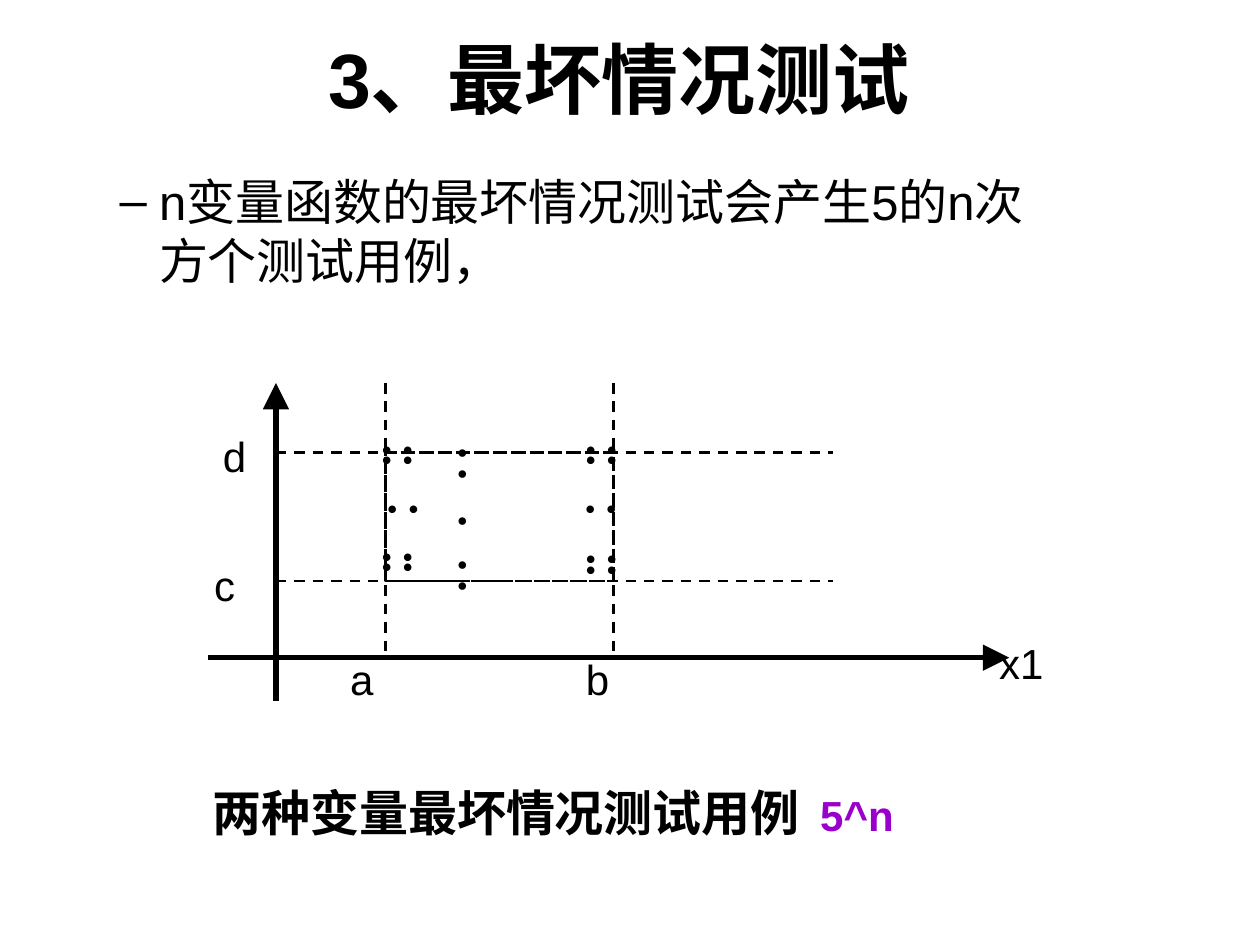
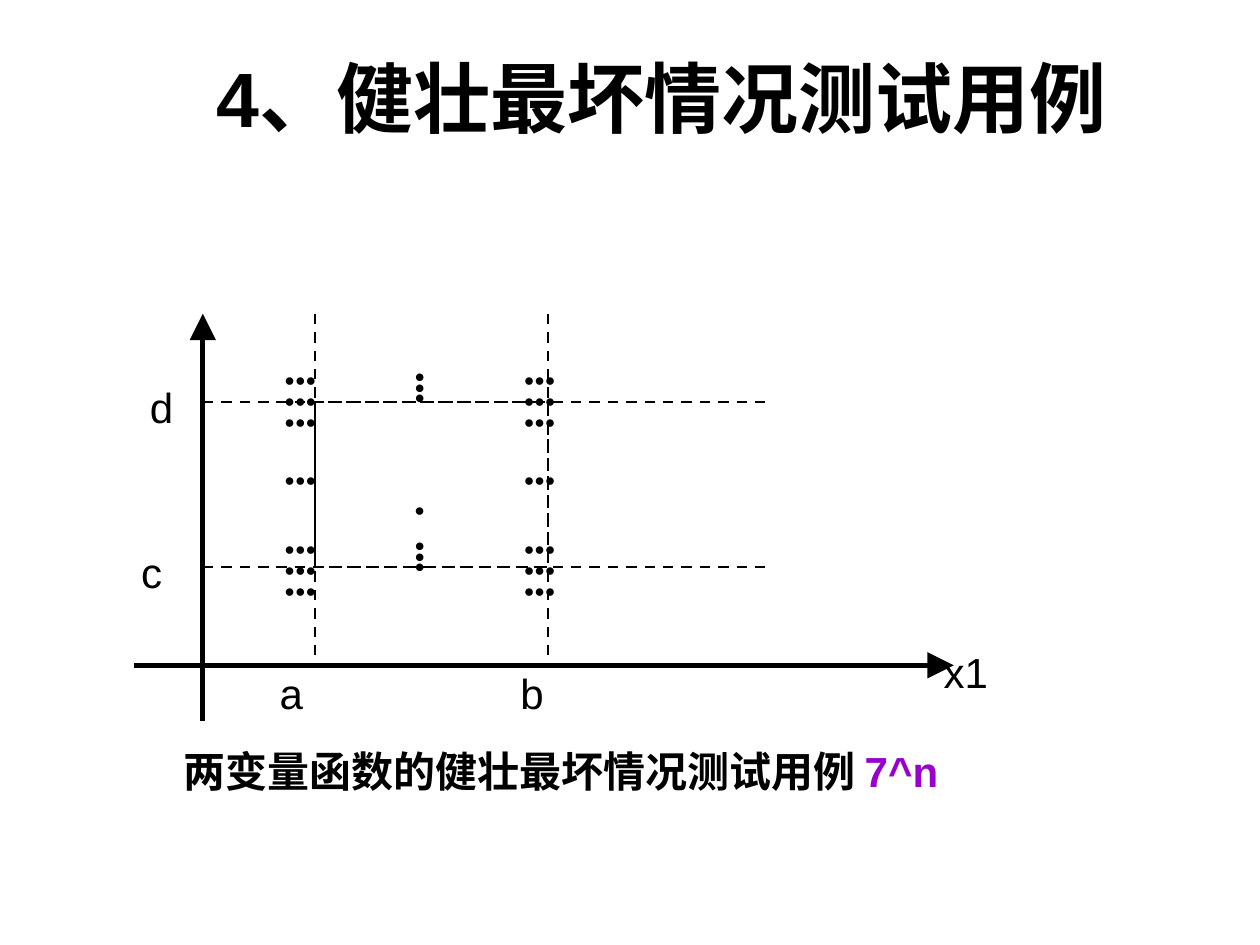
from itertools import product
from lxml.etree import SubElement
from pptx import Presentation
from pptx.dml.color import RGBColor
from pptx.enum.dml import MSO_LINE_DASH_STYLE as Dash
from pptx.enum.shapes import MSO_CONNECTOR as Connector, MSO_SHAPE as Shape
from pptx.enum.text import MSO_ANCHOR as Anchor, MSO_AUTO_SIZE as AutoSize, PP_ALIGN as Align
from pptx.oxml.ns import qn
from pptx.util import Emu, Pt

PX = 9144
BLACK = RGBColor(0x00, 0x00, 0x00)
PURPLE = RGBColor(0x99, 0x00, 0xCC)
FONT = "Arial"
TITLE_SIZE, BODY_SIZE, LABEL_SIZE, DOT_SIZE = 44, 28, 24, 10
LABEL_WIDTH = 50
DOT_WIDTHS = {1: 26, 2: 55, 3: 63}
DOT_HEIGHTS = {1: 27, 2: 44, 3: 60}
UPRIGHT, TURNED = 0, 90

SLIDES = [
    {
        "title": "3、最坏情况测试",
        "title_frame": (216, 21, 551, 81),
        "body": "n变量函数的最坏情况测试会产生5的n次方个测试用例，",
        "body_frame": (35, 131, 811, 260),
        "plot": {
            "axis_x": 219, "axis_top": 304, "axis_foot": 556,
            "axis_y": 522, "axis_left": 165, "axis_right": 801,
            "a": 306, "b": 487, "d": 359, "c": 461,
            "guide_right": 661, "label_height": 34, "label_lift": 14,
        },
        "dots": [
            (1, 2, 353, 434, UPRIGHT), (1, 2, 353, 345, UPRIGHT),
            (1, 1, 353, 399, UPRIGHT),
            (1, 2, 465, 382, TURNED), (1, 2, 308, 382, TURNED),
            (2, 2, 289, 349, TURNED), (2, 2, 289, 434, TURNED),
            (2, 2, 451, 349, TURNED), (2, 2, 451, 436, TURNED),
        ],
        "caption": [("两种变量最坏情况测试用例 ", 28, BLACK), (" 5^n", 24, PURPLE)],
        "caption_frame": (112, 610, 654, 68),
    },
    {
        "title": "4、健壮最坏情况测试用例",
        "title_frame": (51, 36, 949, 81),
        "plot": {
            "axis_x": 161, "axis_top": 249, "axis_foot": 572,
            "axis_y": 528, "axis_left": 106, "axis_right": 757,
            "a": 250, "b": 435, "d": 319, "c": 450,
            "guide_right": 613, "label_height": 44, "label_lift": 18,
        },
        "dots": [
            (3, rows, left, top, UPRIGHT)
            for left, (rows, top) in product((216, 406), ((3, 288), (1, 367), (3, 422)))
        ] + [
            (1, 1, 319, 391, UPRIGHT),
            (3, 1, 303, 304, TURNED), (3, 1, 303, 438, TURNED),
        ],
        "caption": [("两变量函数的健壮最坏情况测试用例 ", 24, BLACK), ("7^n", 24, PURPLE)],
        "caption_frame": (114, 580, 662, 63),
    },
]


def scaled(*lengths):
    return [Emu(length * PX) for length in lengths]


def style_span(span, size, color=BLACK, bold=False):
    span.font.name = FONT
    span.font.size = Pt(size)
    span.font.bold = bold
    span.font.color.rgb = color


def style_frame(text_frame, size, bold=False):
    for para in text_frame.paragraphs:
        for span in para.runs:
            style_span(span, size, bold=bold)


def place(shape, frame):
    shape.left, shape.top, shape.width, shape.height = scaled(*frame)


def add_title(page, text, frame):
    title = page.shapes.title
    place(title, frame)
    text_frame = title.text_frame
    text_frame.text = text
    text_frame.auto_size = AutoSize.NONE
    text_frame.vertical_anchor = Anchor.MIDDLE
    text_frame.paragraphs[0].alignment = Align.CENTER
    style_frame(text_frame, TITLE_SIZE, bold=True)


def add_body(page, text, frame):
    body = page.placeholders[1]
    place(body, frame)
    text_frame = body.text_frame
    text_frame.text = text
    text_frame.auto_size = AutoSize.NONE
    text_frame.paragraphs[0].level = 1
    text_frame.paragraphs[0].space_before = Pt(7)
    style_frame(text_frame, BODY_SIZE)


def add_line(page, x1, y1, x2, y2, is_axis):
    connector = page.shapes.add_connector(Connector.STRAIGHT, *scaled(x1, y1, x2, y2))
    line = connector.line
    line.color.rgb = BLACK
    line.width = Pt(3 if is_axis else 1.5)
    if is_axis:
        SubElement(line._get_or_add_ln(), qn("a:tailEnd"), type="triangle", w="lg", len="lg")
    else:
        line.dash_style = Dash.DASH
    SubElement(connector._element.spPr, qn("a:effectLst"))


def add_centred_box(page, frame):
    box = page.shapes.add_textbox(*scaled(*frame))
    text_frame = box.text_frame
    text_frame.word_wrap = False
    text_frame.margin_left = text_frame.margin_right = 0
    text_frame.vertical_anchor = Anchor.MIDDLE
    text_frame.paragraphs[0].alignment = Align.CENTER
    return box


def add_plot(page, plot):
    x, y = plot["axis_x"], plot["axis_y"]
    top, right = plot["axis_top"], plot["axis_right"]
    a, b, c, d = (plot[name] for name in "abcd")
    height, lift = plot["label_height"], plot["label_lift"]

    add_line(page, x, plot["axis_foot"], x, top, True)
    add_line(page, plot["axis_left"], y, right, y, True)
    for bound in (d, c):
        add_line(page, x, bound, plot["guide_right"], bound, False)
    for bound in (a, b):
        add_line(page, bound, top, bound, y, False)

    domain = page.shapes.add_shape(Shape.RECTANGLE, *scaled(a, d, b - a, c - d))
    domain.shadow.inherit = False
    domain.fill.background()
    domain.line.color.rgb = BLACK
    domain.line.width = Pt(1.5)
    domain.line.dash_style = Dash.DASH

    labels = [
        ("d", x - 17, d - lift), ("c", x - 24, c - lift),
        ("a", a - 3, y), ("b", b + 3, y), ("x1", right + 17, y - lift + 1),
    ]
    for text, centre, label_top in labels:
        box = add_centred_box(page, (centre - LABEL_WIDTH // 2, label_top, LABEL_WIDTH, height))
        box.text_frame.text = text
        style_frame(box.text_frame, LABEL_SIZE)


def add_dots(page, columns, rows, left, top, rotation):
    frame = (left, top, DOT_WIDTHS[columns], DOT_HEIGHTS[rows])
    box = page.shapes.add_textbox(*scaled(*frame))
    box.rotation = rotation
    box.text_frame.word_wrap = True
    box.text_frame.auto_size = AutoSize.SHAPE_TO_FIT_TEXT
    box.text_frame.text = "\n".join(["●" * columns] * rows)
    style_frame(box.text_frame, DOT_SIZE)


def add_caption(page, parts, frame):
    para = add_centred_box(page, frame).text_frame.paragraphs[0]
    for text, size, color in parts:
        span = para.add_run()
        span.text = text
        style_span(span, size, color, bold=True)


def main():
    deck = Presentation()
    deck.slide_width, deck.slide_height = scaled(1000, 750)
    for content in SLIDES:
        layout = deck.slide_layouts[1 if "body" in content else 5]
        page = deck.slides.add_slide(layout)
        add_title(page, content["title"], content["title_frame"])
        if "body" in content:
            add_body(page, content["body"], content["body_frame"])
        add_plot(page, content["plot"])
        for dots in content["dots"]:
            add_dots(page, *dots)
        add_caption(page, content["caption"], content["caption_frame"])
    deck.save("out.pptx")


if __name__ == "__main__":
    main()
